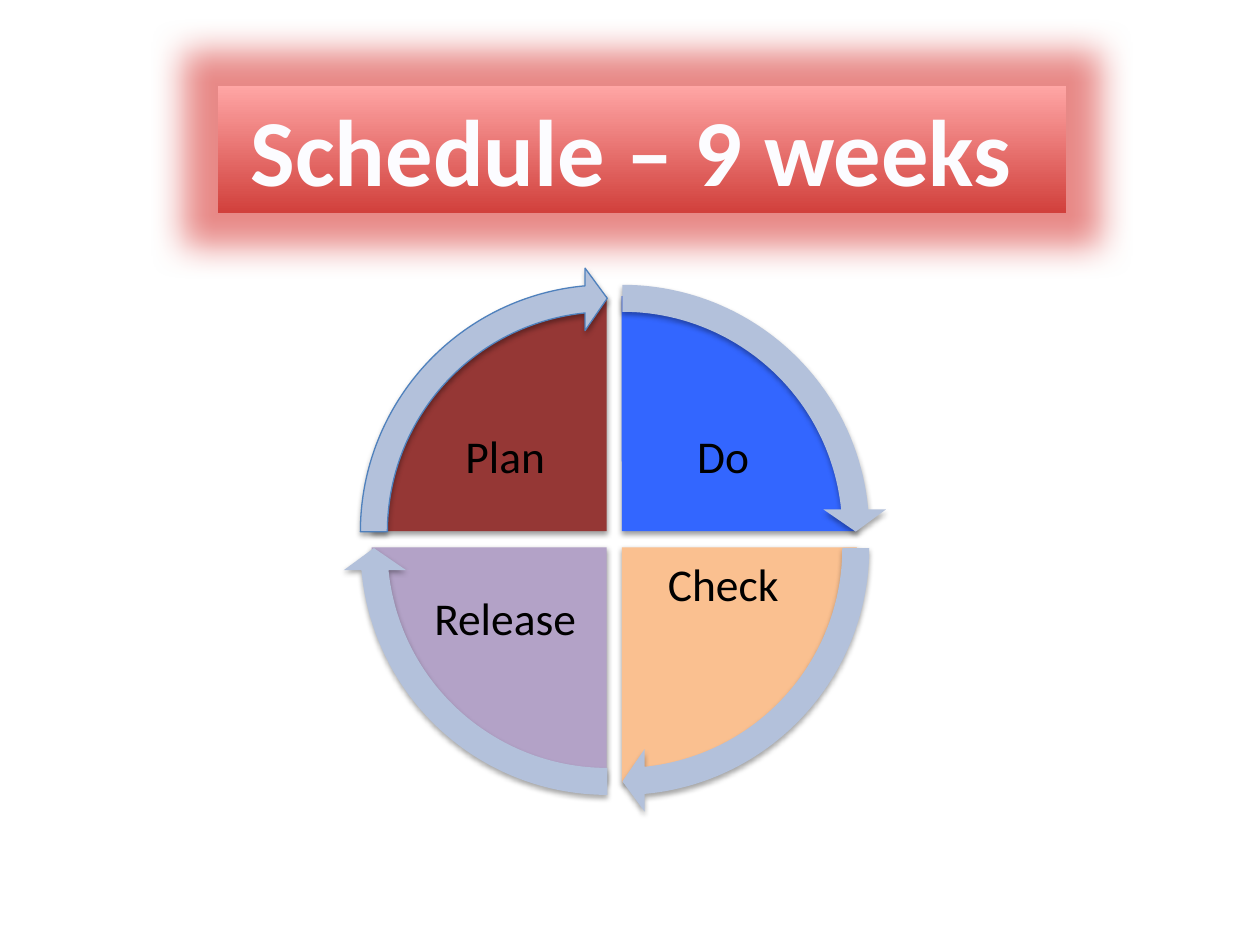
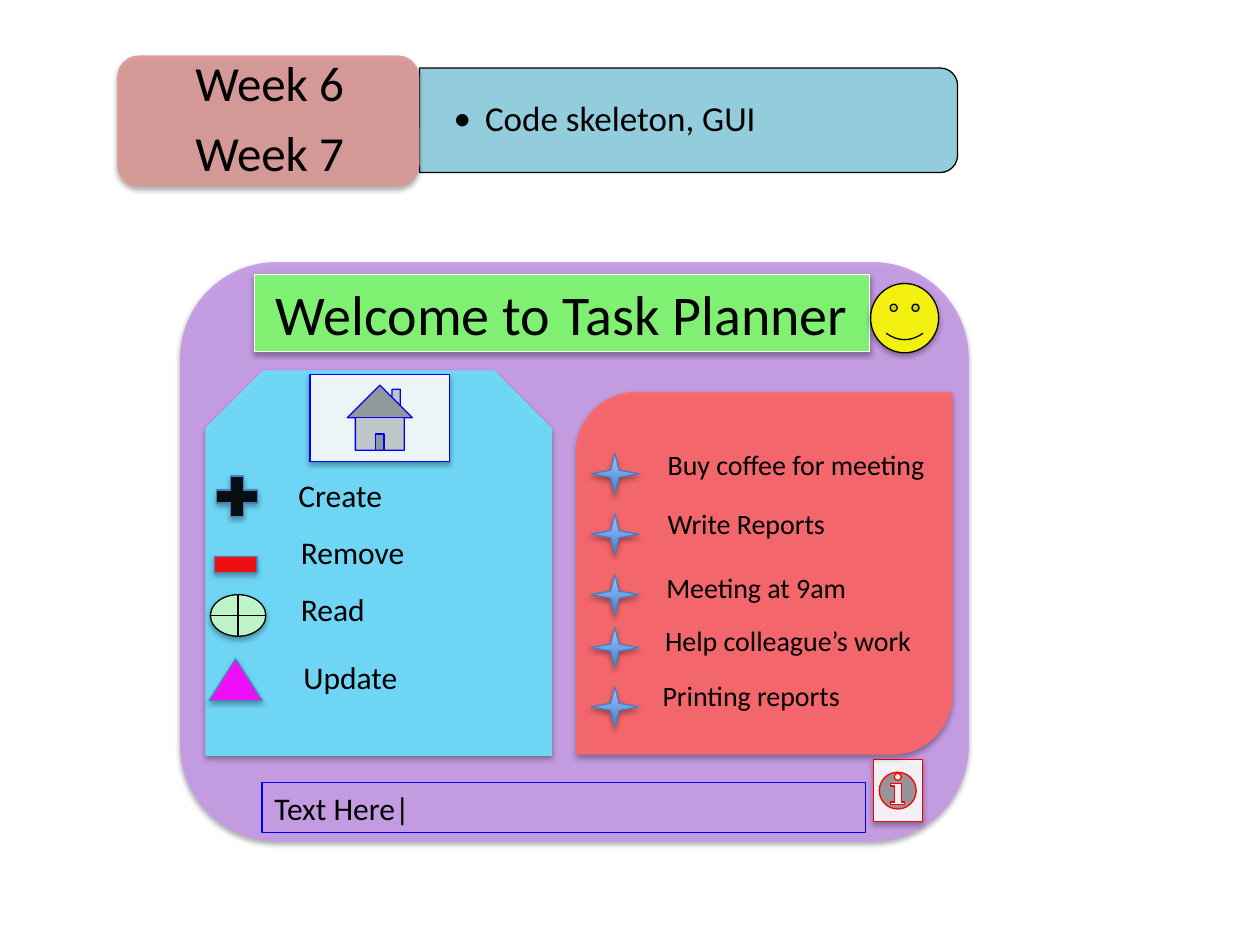
"""Build the schedule slide and the GUI mock-up slide."""
from dataclasses import dataclass

from lxml.etree import SubElement
from pptx import Presentation
from pptx.dml.color import RGBColor
from pptx.enum.shapes import MSO_SHAPE
from pptx.enum.text import MSO_ANCHOR, MSO_AUTO_SIZE, PP_ALIGN
from pptx.oxml.ns import qn
from pptx.util import Inches, Pt

TOP, MIDDLE = MSO_ANCHOR.TOP, MSO_ANCHOR.MIDDLE
LEFT, CENTER = PP_ALIGN.LEFT, PP_ALIGN.CENTER
PIE, ARROW, STAR = MSO_SHAPE.PIE, MSO_SHAPE.CIRCULAR_ARROW, MSO_SHAPE.STAR_4_POINT
RECTANGLE, ROUNDED = MSO_SHAPE.RECTANGLE, MSO_SHAPE.ROUNDED_RECTANGLE
TAB, PANEL = MSO_SHAPE.ROUND_2_SAME_RECTANGLE, MSO_SHAPE.ROUND_2_DIAG_RECTANGLE
SNIPPED, SMILEY = MSO_SHAPE.SNIP_2_SAME_RECTANGLE, MSO_SHAPE.SMILEY_FACE
PLUS, MINUS = MSO_SHAPE.MATH_PLUS, MSO_SHAPE.MATH_MINUS
CROSSED, TRIANGLE = MSO_SHAPE.FLOWCHART_OR, MSO_SHAPE.FLOWCHART_EXTRACT
HOME, INFORMATION = MSO_SHAPE.ACTION_BUTTON_HOME, MSO_SHAPE.ACTION_BUTTON_INFORMATION


@dataclass(frozen=True)
class Theme:
    """Colours, gradients, shadows and type sizes of both slides."""
    font: str = "Calibri"
    black: str = "000000"
    white: str = "FFFFFF"
    title_text: str = "FCFCFF"
    glow: str = "DE5754"
    arrow: str = "B3C1DB"
    arrow_edge: str = "4F81BD"
    icon_edge: str = "4B7EBC"
    blue: str = "0000FF"
    red: str = "FF0000"
    week: str = "D99694"
    topic: str = "93CDDD"
    window: str = "C599E6"
    banner: str = "7FFF6E"
    smiley: str = "FFFF00"
    menu: str = "6CE1FF"
    tasks: str = "FF6666"
    title_gradient: tuple = ("D1403C", "FFA6A5")
    star_gradient: tuple = ("3F80CE", "A4C4FF")
    pie_shadow: tuple = ("000000", 38, 3.1, 1.6)
    soft_shadow: tuple = ("000000", 35, 3.1, 1.8)
    title_size: int = 54
    banner_size: int = 32
    week_size: int = 28
    cycle_size: int = 26
    topic_size: int = 20
    menu_size: int = 18
    task_size: int = 16


THEME = Theme()

TITLE = "Schedule – 9 weeks "
CYCLE = [
    ("Do", "3366FF", 1, 0, 162),
    ("Check", "FAC090", 1, 1, 0),
    ("Release", "B3A2C7", 0, 1, 54),
    ("Plan", "953735", 0, 0, 108),
]
PIE_LEFT, PIE_TOP = (2.95, 3.07), (2.35, 2.48)
LABEL_LEFT, LABEL_TOP = (3.32, 5.05), (3.13, 4.42)
PIE_SIZE, ARROW_SIZE, ARROW_OFFSET = 3.73, 4.2, 0.23
QUARTER, FULL_TURN, ARROW_SWEEP = 54, 216, 50.725

WEEKS = ["Week 6", "Week 7"]
TOPIC = "Code skeleton, GUI"
BANNER = "Welcome to Task Planner"
INPUT = "Text Here|"
MENU = [
    ("Create", 2.27, 3.73, PLUS, (1.66, 3.72, 0.44, 0.44), "000000", THEME.icon_edge),
    ("Remove", 2.29, 4.18, MINUS, (1.64, 4.22, 0.46, 0.52), "FF0000", THEME.icon_edge),
    ("Read", 2.29, 4.63, CROSSED, (1.67, 4.72, 0.44, 0.33), "CCFFCC", THEME.black),
    ("Update", 2.31, 5.17, TRIANGLE, (1.66, 5.23, 0.42, 0.33), "FF00FF", THEME.icon_edge),
]
TASKS = [
    ("Buy coffee for meeting", (5.2, 3.5, 2.28, 0.37), 3.6),
    ("Write Reports", (5.2, 3.97, 1.57, 0.37), 4.08),
    ("Meeting at 9am", (5.19, 4.48, 2.37, 0.37), 4.56),
    ("Help colleague’s work", (5.18, 4.9, 2.25, 0.37), 4.98),
    ("Printing reports", (5.16, 5.34, 2.25, 0.37), 5.45),
]


def rgb(color):
    """Turn a hex string into a colour."""
    return RGBColor.from_string(color)


def add_effect(shape, name, color, alpha, **attributes):
    """Append a coloured effect to the shape's effect list."""
    effects = shape._element.spPr.find(qn("a:effectLst"))
    effect = SubElement(effects, qn(f"a:{name}"), {key: str(value) for key, value in attributes.items()})
    tint = SubElement(effect, qn("a:srgbClr"), val=color)
    SubElement(tint, qn("a:alpha"), val=str(alpha * 1000))


def style(shape, fill=None, alpha=100, line=None, shadow=None):
    """Set fill, outline and shadow; a pair of colours makes a gradient."""
    shape.shadow.inherit = False
    if fill is None:
        shape.fill.background()
    elif isinstance(fill, tuple):
        shape.fill.gradient()
        shape.fill.gradient_angle = 90
        for stop, color, position in zip(shape.fill.gradient_stops, fill, (0, 1)):
            stop.color.rgb = rgb(color)
            stop.position = position
    else:
        shape.fill.solid()
        shape.fill.fore_color.rgb = rgb(fill)
        if alpha < 100:
            tint = shape._element.spPr.find(qn("a:solidFill"))[0]
            SubElement(tint, qn("a:alpha"), val=str(alpha * 1000))
    if line:
        shape.line.color.rgb = rgb(line)
        shape.line.width = Pt(0.75)
    else:
        shape.line.fill.background()
    if shadow:
        color, opacity, blur, distance = shadow
        add_effect(shape, "outerShdw", color, opacity, blurRad=Pt(blur), dist=Pt(distance),
                   dir=5400000, rotWithShape=0)


def add_box(container, kind, place, adjustments=(), **look):
    """Add a styled preset shape at (left, top, width, height) inches."""
    shape = container.shapes.add_shape(kind, *map(Inches, place))
    for index, value in enumerate(adjustments):
        shape.adjustments[index] = value
    style(shape, **look)
    return shape


def write(shape, *lines, size, color=THEME.black, bold=False, align=LEFT, anchor=TOP,
          insets=(0.1, 0.05), line_spacing=None, space_after=0, bullet=False):
    """Write lines of text as paragraphs of one format."""
    frame = shape.text_frame
    frame.word_wrap = True
    frame.auto_size = MSO_AUTO_SIZE.NONE
    frame.vertical_anchor = anchor
    frame.margin_left = frame.margin_right = Inches(insets[0])
    frame.margin_top = frame.margin_bottom = Inches(insets[1])
    for index, line in enumerate(lines):
        paragraph = frame.add_paragraph() if index else frame.paragraphs[0]
        paragraph.alignment = align
        paragraph.space_after = Pt(space_after)
        if line_spacing:
            paragraph.line_spacing = line_spacing
        if bullet:
            properties = paragraph._p.get_or_add_pPr()
            properties.set("marL", str(Inches(0.25)))
            properties.set("indent", str(Inches(-0.25)))
            SubElement(properties, qn("a:buFont"), typeface=THEME.font)
            SubElement(properties, qn("a:buChar"), char="•")
        run = paragraph.add_run()
        run.text = line
        run.font.name = THEME.font
        run.font.size = Pt(size)
        run.font.bold = bold
        run.font.color.rgb = rgb(color)


def add_text(container, place, *lines, **text_format):
    """Add a text box at (left, top, width, height) inches."""
    write(container.shapes.add_textbox(*map(Inches, place)), *lines, **text_format)


def build_schedule(presentation):
    """Build the title and the four-part cycle."""
    slide = presentation.slides.add_slide(presentation.slide_layouts[5])
    title = slide.shapes.title
    title.left, title.top, title.width, title.height = map(Inches, (1.73, 0.68, 6.73, 1.01))
    style(title, fill=THEME.title_gradient)
    add_effect(title, "glow", THEME.glow, 70, rad=Inches(0.55))
    write(title, TITLE, size=THEME.title_size, color=THEME.title_text, bold=True, align=CENTER)

    cycle = slide.shapes.add_group_shape()
    for name, color, column, row, start in CYCLE:
        add_box(cycle, PIE, (PIE_LEFT[column], PIE_TOP[row], PIE_SIZE, PIE_SIZE),
                (start, (start + QUARTER) % FULL_TURN), fill=color, shadow=THEME.pie_shadow)
        add_text(cycle, (LABEL_LEFT[column], LABEL_TOP[row], 1.38, 1.02), name,
                 size=THEME.cycle_size, align=CENTER, anchor=TOP if name == "Check" else MIDDLE,
                 insets=(0.04, 0.04), line_spacing=0.9, space_after=9.1)
    for name, color, column, row, start in CYCLE:
        place = (PIE_LEFT[column] - ARROW_OFFSET, PIE_TOP[row] - ARROW_OFFSET, ARROW_SIZE, ARROW_SIZE)
        add_box(cycle, ARROW, place, (0.051, 3.275, start + ARROW_SWEEP, start, 0.059),
                fill=THEME.arrow, line=THEME.arrow_edge if name == "Plan" else None,
                shadow=THEME.soft_shadow)


def build_week(slide):
    """Build the week label and its topic."""
    week = slide.shapes.add_group_shape()
    topic = add_box(week, TAB, (5.05, -1.18, 0.83, 4.27), fill=THEME.topic, line=THEME.black)
    topic.rotation = 90
    add_text(week, (3.33, 0.58, 4.23, 0.75), TOPIC, size=THEME.topic_size, anchor=MIDDLE,
             insets=(0.27, 0.14), line_spacing=0.9, space_after=3, bullet=True)
    add_box(week, ROUNDED, (0.93, 0.44, 2.4, 1.04), fill=THEME.week, alpha=90, shadow=THEME.soft_shadow)
    add_text(week, (0.99, 0.49, 2.3, 0.94), *WEEKS, size=THEME.week_size, align=CENTER,
             anchor=MIDDLE, insets=(0.12, 0.06), line_spacing=0.9, space_after=9.8)


def build_window(slide):
    """Build the mock-up window with its menu and task list."""
    window = slide.shapes.add_group_shape()
    raised = {"alpha": 90, "shadow": THEME.soft_shadow}
    add_box(window, ROUNDED, (1.43, 2.08, 6.26, 4.6), fill=THEME.window, **raised)
    banner = add_box(window, RECTANGLE, (2.02, 2.18, 4.88, 0.61), fill=THEME.banner,
                     line=THEME.white, **raised)
    write(banner, BANNER, size=THEME.banner_size, align=CENTER, anchor=MIDDLE)
    add_box(window, SMILEY, (6.91, 2.25, 0.54, 0.55), fill=THEME.smiley, line=THEME.black, **raised)
    field = add_box(window, RECTANGLE, (2.08, 6.21, 4.79, 0.4), line=THEME.blue)
    write(field, INPUT, size=THEME.menu_size)

    add_box(window, SNIPPED, (1.63, 2.94, 2.75, 3.06), fill=THEME.menu, **raised)
    for name, left, top, icon, place, color, edge in MENU:
        add_box(window, icon, place, fill=color, line=edge, **raised)
        add_text(window, (left, top, 1.57, 0.4), name, size=THEME.menu_size)
    add_box(window, INFORMATION, (6.93, 6.03, 0.39, 0.49), fill=THEME.white, line=THEME.red, **raised)
    add_box(window, HOME, (2.46, 2.97, 1.11, 0.69), fill=THEME.white, line=THEME.blue, **raised)

    add_box(window, PANEL, (4.57, 3.11, 2.99, 2.88), fill=THEME.tasks, **raised)
    for task, place, star_top in TASKS:
        add_box(window, STAR, (4.69, star_top, 0.38, 0.32), fill=THEME.star_gradient,
                line=THEME.icon_edge, shadow=THEME.soft_shadow)
        add_text(window, place, task, size=THEME.task_size)


def main():
    """Build and save the presentation."""
    presentation = Presentation()
    presentation.slide_width, presentation.slide_height = Inches(10), Inches(7.5)
    build_schedule(presentation)
    slide = presentation.slides.add_slide(presentation.slide_layouts[6])
    build_week(slide)
    build_window(slide)
    presentation.save("out.pptx")


if __name__ == "__main__":
    main()
